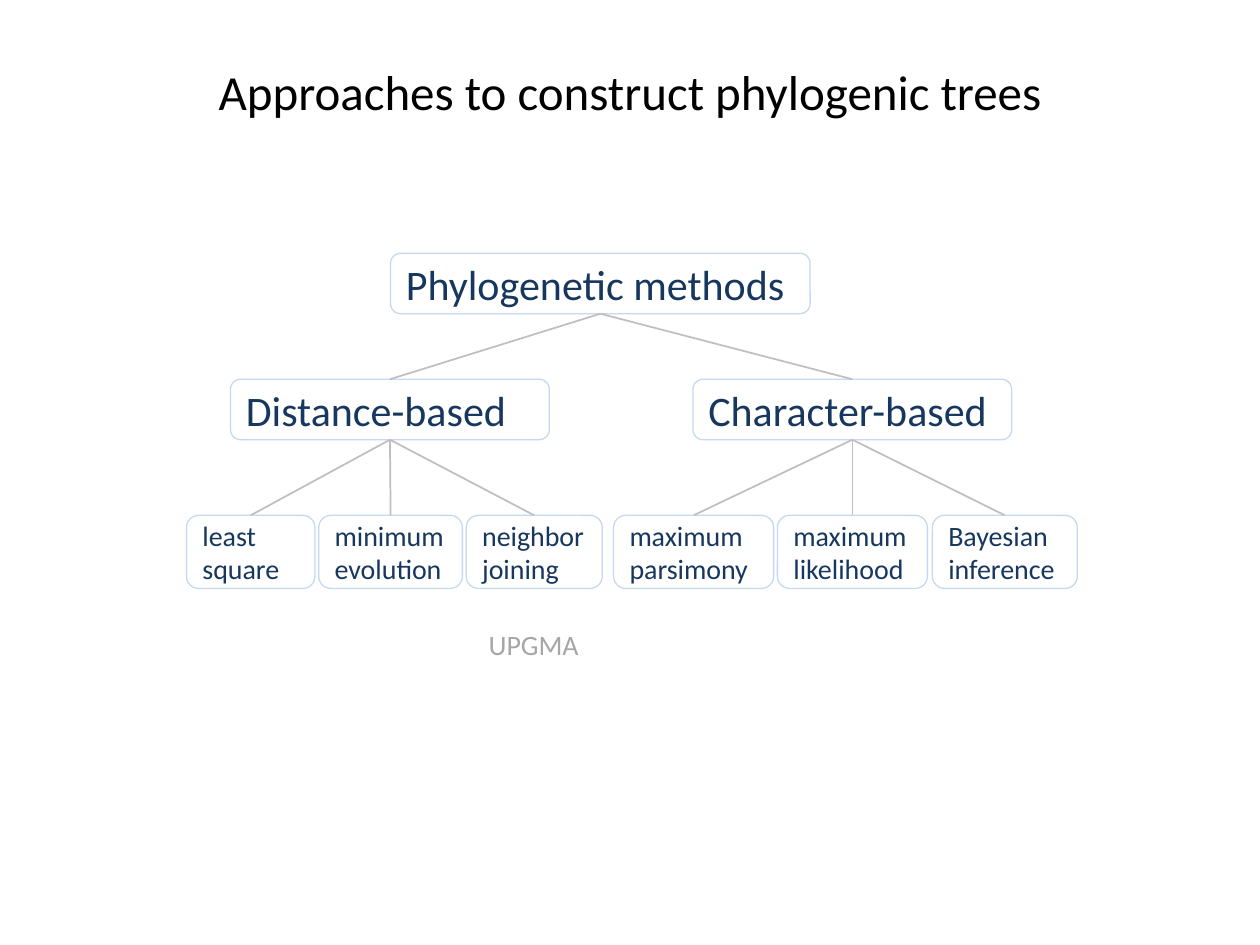
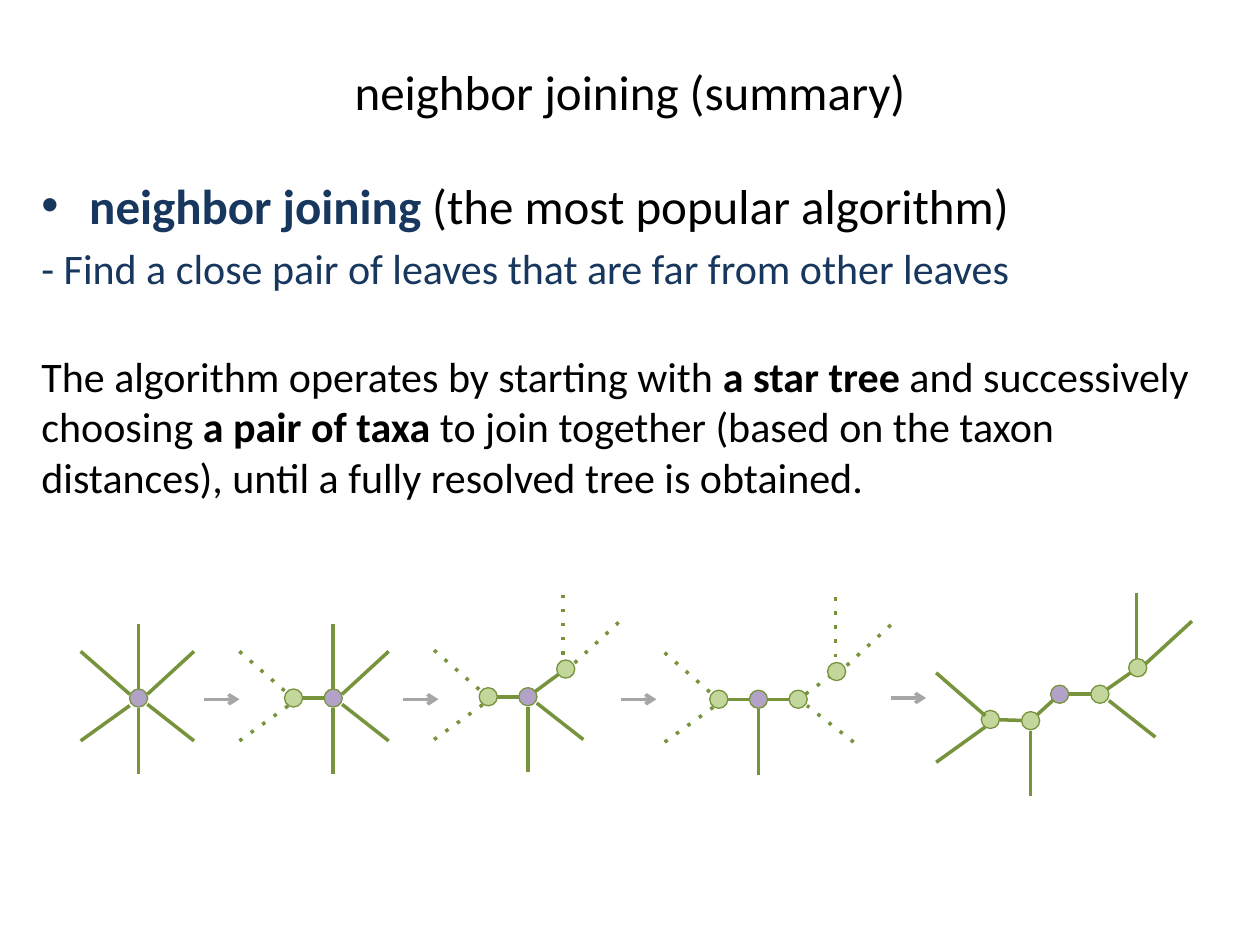
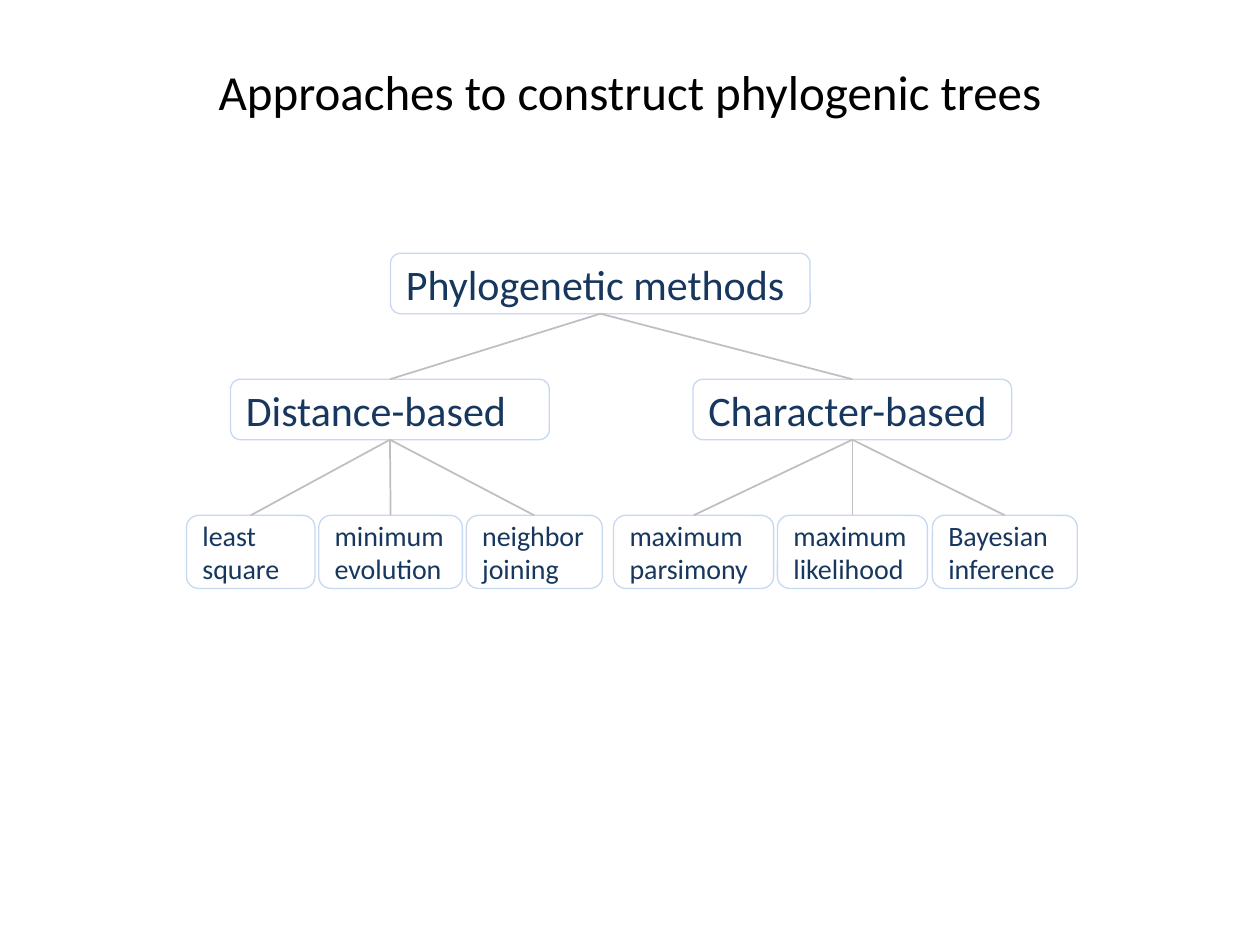
import math
from dataclasses import dataclass
from typing import NamedTuple

import pptx
import pptx.dml.color
import pptx.enum.dml
import pptx.enum.shapes
import pptx.enum.text
import pptx.oxml.ns
import pptx.util
from lxml import etree

# Shared look and grid
COLORS = {
    "black": "000000", "navy": "17375E", "box_line": "C6D9F1",
    "tree_line": "BFBFBF", "gray": "A6A6A6", "branch": "77933C",
    "hub": "B3A2C7", "joined": "C3D69B",
}
FONT = "Calibri"
WIDTH, HEIGHT = pptx.util.Inches(10), pptx.util.Inches(7.5)
COLUMN, ROW = WIDTH / 100, HEIGHT / 75
TITLE_ONLY = 5


class Point(NamedTuple):
    x: float
    y: float


class Area(NamedTuple):
    left: float
    top: float
    width: float
    height: float

    def emu(self) -> tuple[int, int, int, int]:
        return (round(self.left * COLUMN), round(self.top * ROW),
                round(self.width * COLUMN), round(self.height * ROW))


class Phrase(NamedTuple):
    text: str
    color: str = "black"
    bold: bool = False


# Method tree: one top, height and text size per level
class Level(NamedTuple):
    top: float
    height: float
    size: int


LEVELS = (Level(20.1, 4.8, 24), Level(30.1, 4.8, 24), Level(40.9, 5.8, 16))


@dataclass(frozen=True)
class Method:
    name: str
    left: float
    width: float
    kinds: tuple["Method", ...] = ()

    @property
    def center(self) -> float:
        return self.left + self.width / 2


METHODS = Method("Phylogenetic methods", 31, 33.3, (
    Method("Distance-based", 18.3, 25.3, (
        Method("least square", 14.8, 10.2),
        Method("minimum evolution", 25.3, 11.4),
        Method("neighbor joining", 37, 10.8))),
    Method("Character-based", 55, 25.3, (
        Method("maximum parsimony", 48.7, 12.7),
        Method("maximum likelihood", 61.7, 11.9),
        Method("Bayesian inference", 74, 11.5))),
))

# Neighbor joining: leaf branches as (outer end, inner end) around a node
LEAVES = {
    "N": (Point(0, -5.9), Point(0, -0.7)),
    "S": (Point(0, 6), Point(0, 0.8)),
    "NE": (Point(4.4, -3.7), Point(0.7, -0.3)),
    "NW": (Point(-4.6, -3.7), Point(-0.7, -0.3)),
    "SE": (Point(4.4, 3.4), Point(0.7, 0.5)),
    "SW": (Point(-4.6, 3.4), Point(-0.7, 0.6)),
}
NODE_RADIUS = 0.72
ARROW_LENGTH = 2.8


@dataclass(frozen=True)
class Joint:
    """A node placed from its hub; the first joint of a stage is the hub."""
    x: float
    y: float
    leaves: str
    dotted: bool = False
    joined_to: int = 0
    leaf_shift: float = 0


class Stage(NamedTuple):
    hub: Point
    joints: tuple[Joint, ...]


STAGES = (
    Stage(Point(11, 55.4), (Joint(0, 0, "N S NE NW SE SW"),)),
    Stage(Point(26.45, 55.4), (
        Joint(0, 0, "N S NE SE"),
        Joint(-3.15, 0, "NW SW", True, leaf_shift=0.3))),
    Stage(Point(41.9, 55.3), (
        Joint(0, 0, "S SE"),
        Joint(-3.15, 0, "NW SW", True, leaf_shift=0.3),
        Joint(3, -2.2, "N NE", True, leaf_shift=-0.2))),
    Stage(Point(60.2, 55.5), (
        Joint(0, 0, "S"),
        Joint(-3.15, 0, "NW SW", True, leaf_shift=0.3),
        Joint(3.15, 0, "SE", True),
        Joint(6.2, -2.2, "N NE", True, joined_to=2, leaf_shift=-0.1))),
    Stage(Point(84.1, 55.1), (
        Joint(0, 0, ""),
        Joint(3.2, 0, "SE"),
        Joint(6.2, -2.1, "N NE", joined_to=1, leaf_shift=-0.1),
        Joint(-2.3, 2.1, "S"),
        Joint(-5.5, 2, "NW SW", joined_to=3, leaf_shift=0.3))),
)
STAGE_ARROWS = (Point(16.2, 55.5), Point(32, 55.5), Point(49.3, 55.5), Point(70.7, 55.4))


def rgb(name: str) -> pptx.dml.color.RGBColor:
    return pptx.dml.color.RGBColor.from_string(COLORS[name])


def format_run(run, size: float, color: str, bold: bool = False) -> None:
    run.font.name = FONT
    run.font.size = pptx.util.Pt(size)
    run.font.bold = bold
    run.font.color.rgb = rgb(color)


def add_titled_slide(deck, heading: str):
    slide = deck.slides.add_slide(deck.slide_layouts[TITLE_ONLY])
    title = slide.shapes.title
    title.left, title.top, title.width, title.height = Area(5, 3, 90, 8.5).emu()
    title.text_frame.text = heading
    title.text_frame.vertical_anchor = pptx.enum.text.MSO_ANCHOR.MIDDLE
    title.text_frame.paragraphs[0].alignment = pptx.enum.text.PP_ALIGN.CENTER
    format_run(title.text_frame.paragraphs[0].runs[0], 28, "black")
    return slide


def draw_line(slide, start: Point, end: Point, color: str, weight: float,
              dotted: bool = False, arrow: bool = False) -> None:
    line = slide.shapes.add_connector(
        pptx.enum.shapes.MSO_CONNECTOR.STRAIGHT,
        round(start.x * COLUMN), round(start.y * ROW),
        round(end.x * COLUMN), round(end.y * ROW))
    line.line.color.rgb = rgb(color)
    line.line.width = pptx.util.Pt(weight)
    properties = line._element.spPr
    outline = properties.find(pptx.oxml.ns.qn("a:ln"))
    if dotted:
        etree.SubElement(outline, pptx.oxml.ns.qn("a:prstDash"), val="dot")
    if arrow:
        etree.SubElement(outline, pptx.oxml.ns.qn("a:tailEnd"), type="arrow")
    etree.SubElement(properties, pptx.oxml.ns.qn("a:effectLst"))


def draw_shape(slide, kind, area: Area, outline: str, fill: str = ""):
    shape = slide.shapes.add_shape(kind, *area.emu())
    shape.shadow.inherit = False
    if fill:
        shape.fill.solid()
        shape.fill.fore_color.rgb = rgb(fill)
    else:
        shape.fill.background()
    shape.line.color.rgb = rgb(outline)
    shape.line.width = pptx.util.Pt(0.75)
    return shape


def draw_method(slide, method: Method, depth: int = 0) -> None:
    level = LEVELS[depth]
    box = draw_shape(slide, pptx.enum.shapes.MSO_SHAPE.ROUNDED_RECTANGLE,
                     Area(method.left, level.top, method.width, level.height), "box_line")
    box.text_frame.text = method.name
    format_run(box.text_frame.paragraphs[0].runs[0], level.size, "navy")
    for kind in method.kinds:
        draw_method(slide, kind, depth + 1)
        draw_line(slide, Point(method.center, level.top + level.height),
                  Point(kind.center, LEVELS[depth + 1].top), "tree_line", 1)


def draw_link(slide, start: Point, end: Point, dotted: bool) -> None:
    """Join the rims of two nodes."""
    share = NODE_RADIUS / math.dist(start, end)
    dx, dy = (end.x - start.x) * share, (end.y - start.y) * share
    draw_line(slide, Point(start.x + dx, start.y + dy),
              Point(end.x - dx, end.y - dy), "branch", 2, dotted)


def draw_stage(slide, stage: Stage) -> None:
    centers = [Point(stage.hub.x + j.x, stage.hub.y + j.y) for j in stage.joints]
    for index, (joint, center) in enumerate(zip(stage.joints, centers)):
        draw_shape(slide, pptx.enum.shapes.MSO_SHAPE.OVAL,
                   Area(center.x - NODE_RADIUS, center.y - NODE_RADIUS,
                        2 * NODE_RADIUS, 2 * NODE_RADIUS),
                   "branch", "joined" if index else "hub")
        for leaf in joint.leaves.split():
            outer, inner = (Point(center.x + joint.leaf_shift + p.x, center.y + p.y)
                            for p in LEAVES[leaf])
            draw_line(slide, outer, inner, "branch", 2, joint.dotted)
        if index:
            neighbor = stage.joints[joint.joined_to]
            draw_link(slide, centers[joint.joined_to], center,
                      joint.dotted and neighbor.dotted)


def write_paragraph(paragraph, phrases: tuple[Phrase, ...], size: float,
                    space_before: float = 0) -> None:
    paragraph.space_before = pptx.util.Pt(space_before)
    for phrase in phrases:
        run = paragraph.add_run()
        run.text = phrase.text
        format_run(run, size, phrase.color, phrase.bold)


def add_bullet(paragraph, indent: int) -> None:
    properties = paragraph._p.get_or_add_pPr()
    properties.set("marL", str(indent))
    properties.set("indent", str(-indent))
    etree.SubElement(properties, pptx.oxml.ns.qn("a:buFont"), typeface="Arial")
    etree.SubElement(properties, pptx.oxml.ns.qn("a:buChar"), char="•")


def add_approaches_slide(deck):
    slide = add_titled_slide(deck, "Approaches to construct phylogenic trees")
    draw_method(slide, METHODS)
    return slide


def add_upgma_note(slide) -> None:
    note = slide.shapes.add_textbox(*Area(37.8, 49.3, 9.3, 3.7).emu())
    note.text_frame.word_wrap = False
    note.text_frame.text = "UPGMA"
    format_run(note.text_frame.paragraphs[0].runs[0], 16, "gray")


def add_summary_slide(deck) -> None:
    slide = add_titled_slide(deck, "neighbor joining (summary)")

    # Explanation
    frame = slide.shapes.add_textbox(*Area(2.3, 13.4, 93.9, 29.6).emu()).text_frame
    frame.word_wrap = True
    algorithm = frame.paragraphs[0]
    add_bullet(algorithm, round(3.8 * COLUMN))
    write_paragraph(algorithm, (
        Phrase("neighbor joining ", "navy", True),
        Phrase("(the most popular algorithm)")), 28)
    write_paragraph(frame.add_paragraph(), (
        Phrase("- Find a close pair of leaves that are far from other leaves", "navy"),), 24, 4.8)
    write_paragraph(frame.add_paragraph(), (
        Phrase("The algorithm operates by starting with "),
        Phrase("a star tree ", bold=True),
        Phrase("and successively choosing "),
        Phrase("a pair of taxa ", bold=True),
        Phrase("to join together (based on the taxon distances), "
               "until a fully resolved tree is obtained.")), 24, 33)

    # Star tree resolved step by step
    for stage in STAGES:
        draw_stage(slide, stage)
    for start in STAGE_ARROWS:
        draw_line(slide, start, Point(start.x + ARROW_LENGTH, start.y), "gray", 2, arrow=True)


def main() -> None:
    deck = pptx.Presentation()
    deck.slide_width, deck.slide_height = WIDTH, HEIGHT
    add_upgma_note(add_approaches_slide(deck))
    add_summary_slide(deck)
    add_approaches_slide(deck)
    deck.save("out.pptx")


if __name__ == "__main__":
    main()
